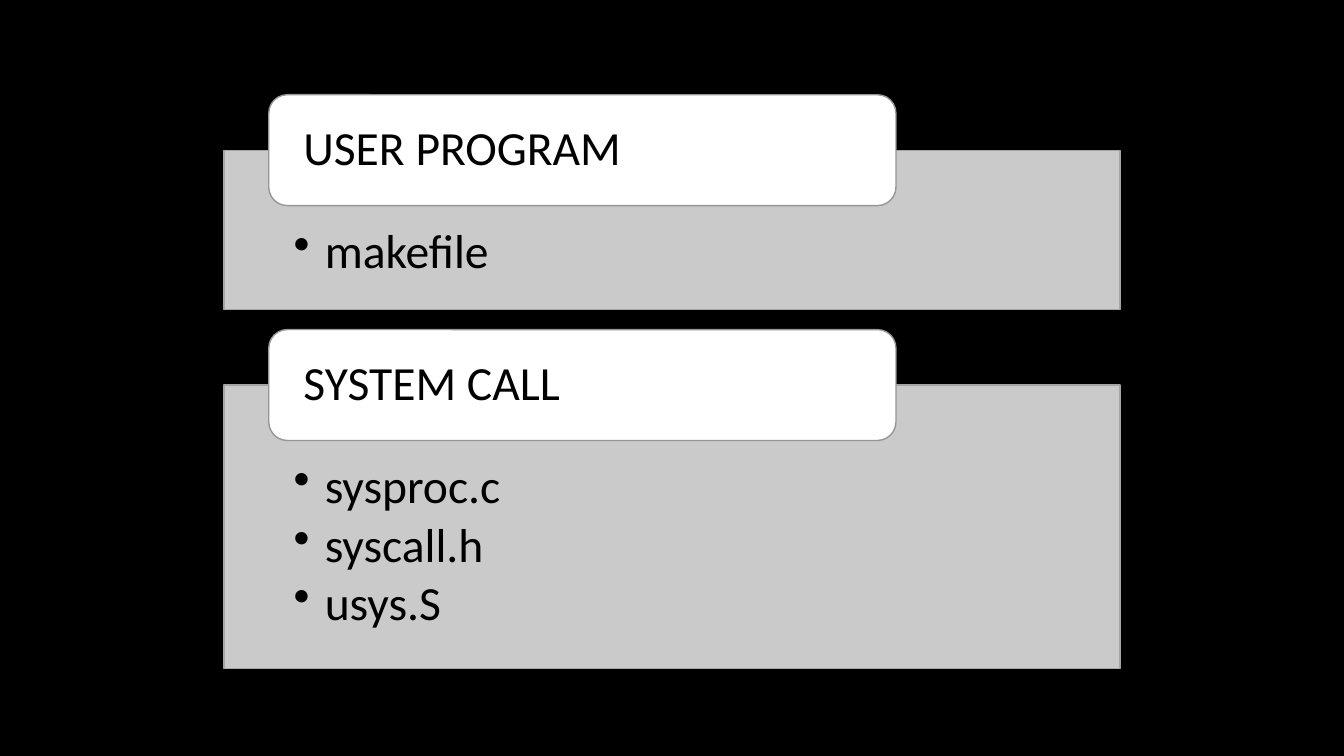
from lxml import etree
from pptx import Presentation
from pptx.dml.color import RGBColor
from pptx.enum.shapes import MSO_SHAPE
from pptx.enum.text import MSO_ANCHOR, PP_ALIGN
from pptx.oxml.ns import qn
from pptx.util import Inches, Pt

RECT, ROUND = MSO_SHAPE.RECTANGLE, MSO_SHAPE.ROUNDED_RECTANGLE
TOP, MIDDLE = MSO_ANCHOR.TOP, MSO_ANCHOR.MIDDLE
LEFT = PP_ALIGN.LEFT
BLACK = RGBColor(0, 0, 0)
WHITE = RGBColor(255, 255, 255)
PALE = RGBColor(0xE1, 0xE1, 0xE1)
EDGE = RGBColor(0xA5, 0xA5, 0xA5)
RIM = RGBColor(0x96, 0x96, 0x96)

deck = Presentation()
deck.slide_width, deck.slide_height = Inches(13.33), Inches(7.5)
WIDE = deck.slide_width
slide = deck.slides.add_slide(deck.slide_layouts[6])
back = slide.background.fill
back.solid()
back.fore_color.rgb = BLACK

LEFT_EDGE, PANEL_W = WIDE / 6, WIDE * 2 / 3
TAB_LEFT, TAB_W = LEFT_EDGE + PANEL_W * 0.05, PANEL_W * 0.7
TAB_H = Inches(1.1)
GAP = Inches(0.2)
INDENT = Inches(0.31)


def add_box(kind, place, fill, line, lines, frame):
    box = slide.shapes.add_shape(kind, *[int(n) for n in place])
    box.shadow.inherit = False
    box.fill.solid()
    box.fill.fore_color.rgb = fill
    box.line.color.rgb = line
    box.line.width = Pt(1)
    text = box.text_frame
    text.word_wrap = True
    for name, value in frame.items():
        setattr(text, name, value)
    text.text = "\n".join(lines)
    for para in text.paragraphs:
        para.alignment = LEFT
        para.line_spacing = 0.9
        para.space_after = Pt(5)
        font = para.font
        font.name, font.size = "Calibri", Pt(34)
        font.color.rgb = BLACK
    return box


LIST = {"vertical_anchor": TOP, "margin_left": Inches(0.69), "margin_right": Inches(0.69),
        "margin_top": Inches(0.77), "margin_bottom": Inches(0.26)}
HEAD = {"vertical_anchor": MIDDLE, "margin_left": Inches(0.29), "margin_right": Inches(0.29),
        "margin_top": Inches(0.05), "margin_bottom": Inches(0.05)}

groups = [
    ("USER PROGRAM", ["makefile"], Inches(1.58)),
    ("SYSTEM CALL", ["sysproc.c", "syscall.h", "usys.S"], Inches(2.81)),
]
top = Inches(0.94)
for title, files, height in groups:
    middle = top + TAB_H / 2
    panel = add_box(RECT, (LEFT_EDGE, middle, PANEL_W, height), PALE, EDGE, files, LIST)
    color = panel.fill._xPr.find(qn("a:solidFill"))[0]
    etree.SubElement(color, qn("a:alpha")).set("val", "90000")
    for para in panel.text_frame.paragraphs:
        props = para._p.get_or_add_pPr()
        props.set("marL", str(INDENT))
        props.set("indent", str(-INDENT))
        bullet = etree.Element(qn("a:buChar"), char="•")
        props.find(qn("a:spcAft")).addnext(bullet)
    add_box(ROUND, (TAB_LEFT, top, TAB_W, TAB_H), WHITE, RIM, [title], HEAD)
    top = middle + height + GAP

deck.save("out.pptx")
